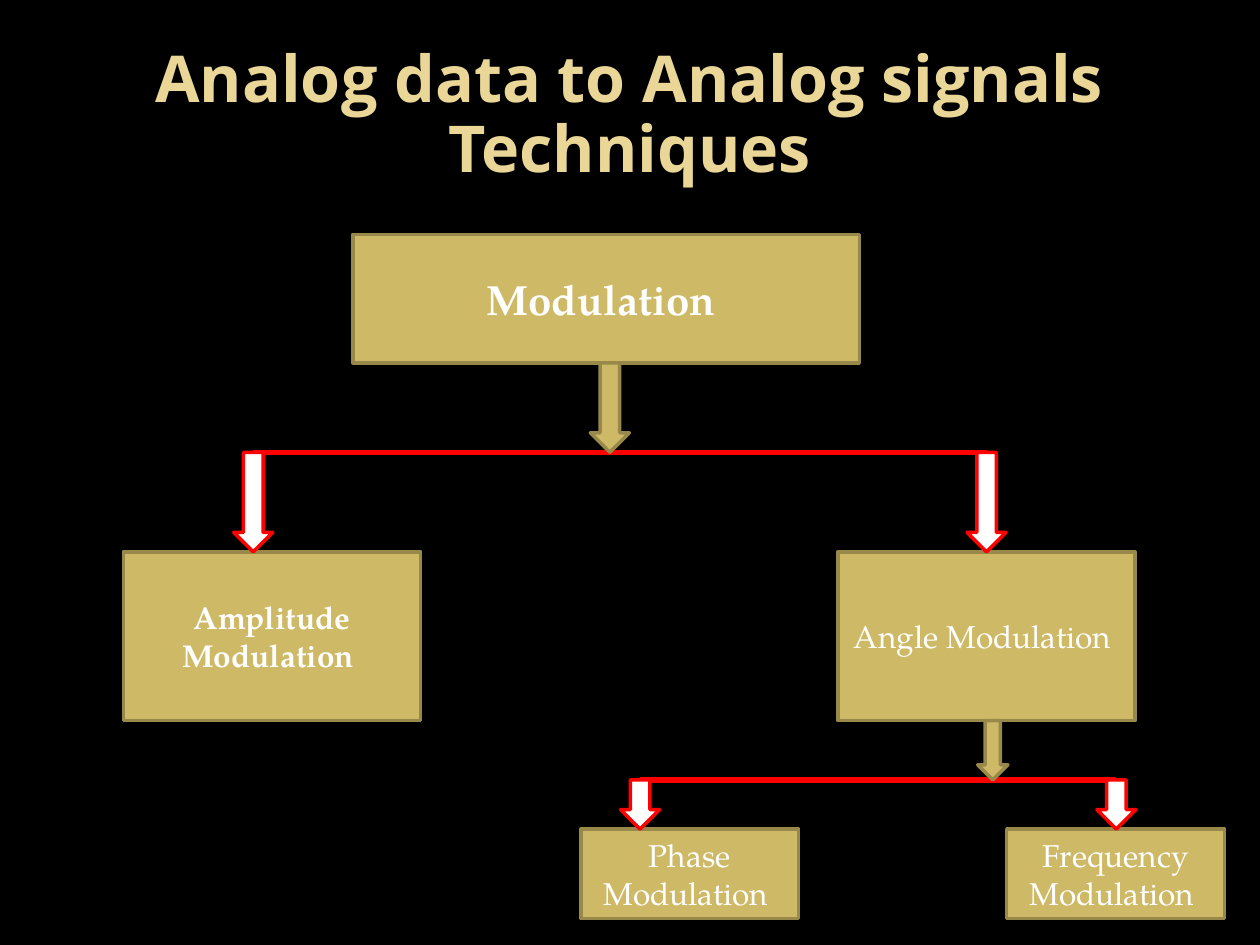
import pptx
import pptx.dml.color
import pptx.enum.shapes
import pptx.enum.text
import pptx.oxml.ns
import pptx.util
from lxml import etree

Inches = pptx.util.Inches
Pt = pptx.util.Pt
RGBColor = pptx.dml.color.RGBColor
Shape = pptx.enum.shapes.MSO_SHAPE

BLACK = RGBColor(0x00, 0x00, 0x00)
WHITE = RGBColor(0xFF, 0xFF, 0xFF)
RED = RGBColor(0xFF, 0x00, 0x00)
GOLD = RGBColor(0xCE, 0xB9, 0x66)
DARK_GOLD = RGBColor(0x98, 0x89, 0x4B)
PALE_GOLD = RGBColor(0xEA, 0xD6, 0x96)

ARROW_WIDTH = 0.31


def write_text(frame, text, font="TeX Gyre Pagella", size=18, color=WHITE,
               bold=False, line_spacing=None):
    frame.word_wrap = True
    frame.vertical_anchor = pptx.enum.text.MSO_ANCHOR.MIDDLE
    paragraph = frame.paragraphs[0]
    paragraph.alignment = pptx.enum.text.PP_ALIGN.CENTER
    if line_spacing:
        paragraph.line_spacing = line_spacing
    run = paragraph.add_run()
    run.text = text
    run.font.name = font
    run.font.size = Pt(size)
    run.font.bold = bold
    run.font.color.rgb = color


class TreeSlide:
    outline = 2
    branch_weight = 3

    def __init__(self, presentation):
        self.slide = presentation.slides.add_slide(presentation.slide_layouts[5])
        background = self.slide.background.fill
        background.solid()
        background.fore_color.rgb = BLACK

    def title(self, text, left, top, width, height):
        heading = self.slide.shapes.title
        heading.left, heading.top = Inches(left), Inches(top)
        heading.width, heading.height = Inches(width), Inches(height)
        write_text(heading.text_frame, text, font="Open Sans", size=36.9,
                   color=PALE_GOLD, bold=True, line_spacing=0.9)

    def preset(self, kind, left, top, width, height, fill, line):
        shape = self.slide.shapes.add_shape(
            kind, Inches(left), Inches(top), Inches(width), Inches(height))
        shape.shadow.inherit = False
        shape.fill.solid()
        shape.fill.fore_color.rgb = fill
        shape.line.color.rgb = line
        shape.line.width = Pt(self.outline)
        return shape

    def box(self, text, left, top, width, height, **text_format):
        node = self.preset(Shape.RECTANGLE, left, top, width, height, GOLD, DARK_GOLD)
        write_text(node.text_frame, text, **text_format)

    def arrow(self, center, top, bottom, width=ARROW_WIDTH, fill=GOLD, line=DARK_GOLD):
        self.preset(Shape.DOWN_ARROW, center - width / 2, top, width, bottom - top,
                    fill, line)

    def branch(self, start, end, y):
        bar = self.slide.shapes.add_connector(
            pptx.enum.shapes.MSO_CONNECTOR.STRAIGHT,
            Inches(start), Inches(y), Inches(end), Inches(y))
        bar.line.color.rgb = RED
        bar.line.width = Pt(self.branch_weight)
        etree.SubElement(bar.element.spPr, pptx.oxml.ns.qn("a:effectLst"))

    def split(self, start, end, y, bottom):
        self.branch(start, end, y)
        for center in (start, end):
            self.arrow(center, y, bottom, fill=WHITE, line=RED)


def main():
    presentation = pptx.Presentation()
    presentation.slide_width = Inches(10)
    presentation.slide_height = Inches(7.5)

    tree = TreeSlide(presentation)
    tree.title("Analog data to Analog signals Techniques", 0.5, 0.3, 9, 1.25)

    tree.box("Modulation ", 2.8, 1.86, 4.02, 1.02, size=24, bold=True)
    tree.box("Amplitude Modulation ", 0.98, 4.38, 2.36, 1.34, bold=True)
    tree.box("Angle Modulation ", 6.65, 4.38, 2.36, 1.34)
    tree.split(2.01, 7.83, 3.59, 4.38)
    tree.arrow(4.84, 2.88, 3.59)

    for kind, left in (("Phase", 4.61), ("Frequency", 7.99)):
        tree.box(f"{kind} Modulation ", left, 6.58, 1.73, 0.71)
    tree.split(5.08, 8.86, 6.19, 6.58)
    tree.arrow(7.88, 5.72, 6.19, width=0.24)

    presentation.save("out.pptx")


if __name__ == "__main__":
    main()
